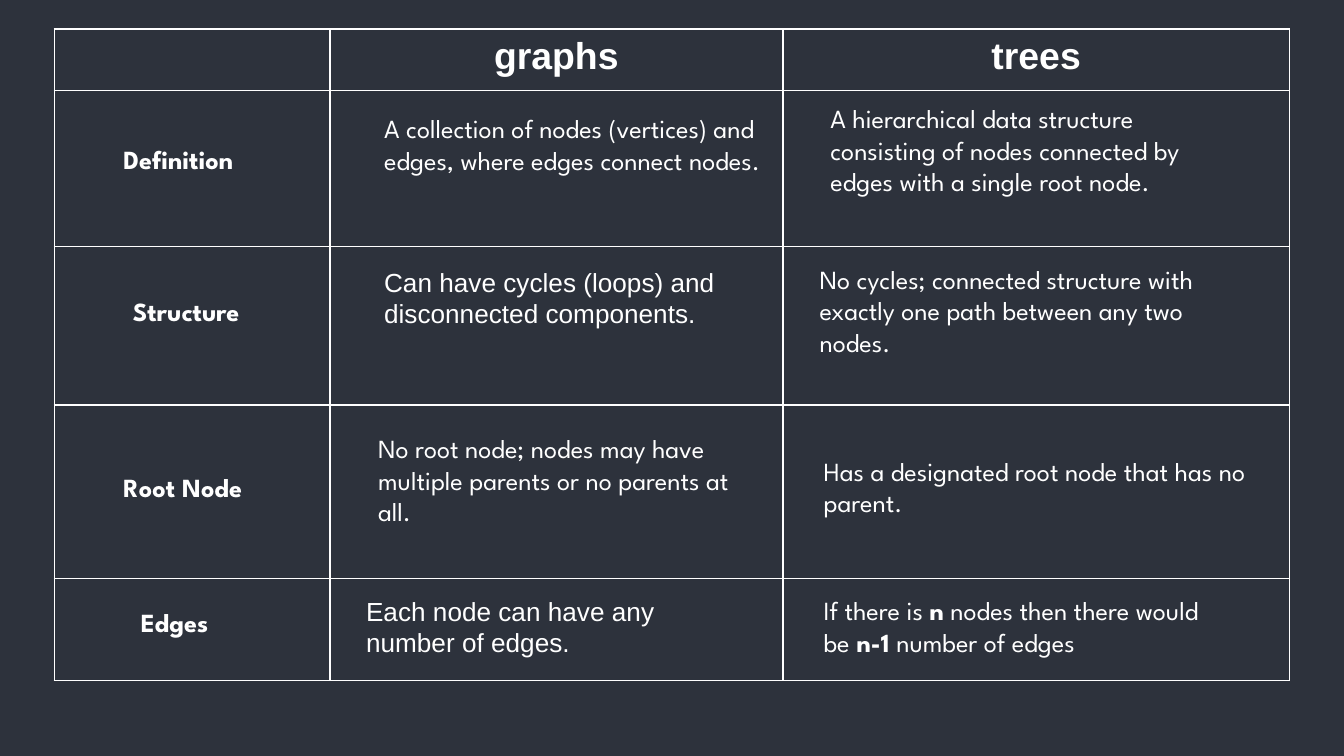
from lxml.etree import SubElement
from pptx import Presentation
from pptx.dml.color import RGBColor
from pptx.enum.text import MSO_AUTO_SIZE as AutoSize, PP_ALIGN as Align
from pptx.oxml.ns import qn
from pptx.util import Emu, Pt

EMU_PER_PX = 4572  # 200 px to the inch
BACKGROUND = RGBColor(0x2D, 0x32, 0x3C)
WHITE = RGBColor(0xFF, 0xFF, 0xFF)
SPARTAN = "League Spartan"
ARIAL = "Arial"


def px(length):
    return Emu(length * EMU_PER_PX)


def write(paragraph, text, font=SPARTAN, size=14, bold=False, color=WHITE, align=None):
    """Add one formatted run to a paragraph."""
    if align is not None:
        paragraph.alignment = align
    run = paragraph.add_run()
    run.text = text
    run.font.name = font
    run.font.size = Pt(size)
    run.font.bold = bold
    run.font.color.rgb = color


class ComparisonSlide:
    border_width = Pt(1)
    border_color = WHITE

    def __init__(self, presentation):
        self.slide = presentation.slides.add_slide(presentation.slide_layouts[6])
        fill = self.slide.background.fill
        fill.solid()
        fill.fore_color.rgb = BACKGROUND

    def outline(self, cell):
        properties = cell._tc.get_or_add_tcPr()
        for side in ("a:lnL", "a:lnR", "a:lnT", "a:lnB"):
            line = SubElement(properties, qn(side), w=str(self.border_width))
            solid = SubElement(line, qn("a:solidFill"))
            SubElement(solid, qn("a:srgbClr"), val=str(self.border_color))
        cell.fill.background()

    def grid(self, left, top, columns, rows, headings):
        table = self.slide.shapes.add_table(
            len(rows), len(columns), px(left), px(top), px(sum(columns)), px(sum(rows))
        ).table
        table.first_row = table.horz_banding = False
        for column, width in zip(table.columns, columns):
            column.width = px(width)
        for row, height in zip(table.rows, rows):
            row.height = px(height)
        for cell in table.iter_cells():
            self.outline(cell)
        for number, heading in enumerate(headings, start=1):
            write(table.cell(0, number).text_frame.paragraphs[0], heading,
                  font=ARIAL, size=20, bold=True, align=Align.CENTER)

    def text(self, left, top, width, height, *pieces, bold=False, **style):
        """Place a text box; every second piece switches the weight."""
        box = self.slide.shapes.add_textbox(px(left), px(top), px(width), px(height))
        frame = box.text_frame
        frame.word_wrap = True
        frame.auto_size = AutoSize.SHAPE_TO_FIT_TEXT
        for number, piece in enumerate(pieces):
            write(frame.paragraphs[0], piece, bold=bold ^ (number % 2 == 1), **style)


def main():
    presentation = Presentation()
    presentation.slide_width, presentation.slide_height = px(2000), px(1125)
    page = ComparisonSlide(presentation)

    # Grid with the column headings
    page.grid(81, 43, [410, 674, 754], [92, 232, 236, 258, 152], ["graphs", "trees"])

    # Row labels
    for left, top, width, label in (
        (164, 204, 266, "Definition"),
        (178, 430, 286, "Structure"),
        (164, 692, 300, "Root Node"),
        (190, 893, 226, "Edges"),
    ):
        page.text(left, top, width, 68, label, bold=True)

    # Graphs column
    page.text(552, 158, 602, 162,
              "A collection of nodes (vertices) and edges, where edges connect nodes.")
    page.text(552, 386, 586, 114,
              "Can have cycles (loops) and disconnected components.", font=ARIAL)
    page.text(543, 634, 596, 162,
              "No root node; nodes may have multiple parents or no parents at all.")
    page.text(525, 876, 596, 114, "Each node can have any number of edges.", font=ARIAL)

    # Trees column
    page.text(1216, 143, 656, 162,
              "A hierarchical data structure consisting of nodes connected by "
              "edges with a single root node.")
    page.text(1200, 382, 670, 162,
              "No cycles; connected structure with exactly one path between any two nodes.")
    page.text(1206, 668, 690, 114, "Has a designated root node that has no parent.")
    page.text(1206, 875, 640, 114,
              "If there is ", "n", " nodes then there would be", " n-1 ", "number of edges")

    presentation.save("out.pptx")


if __name__ == "__main__":
    main()
